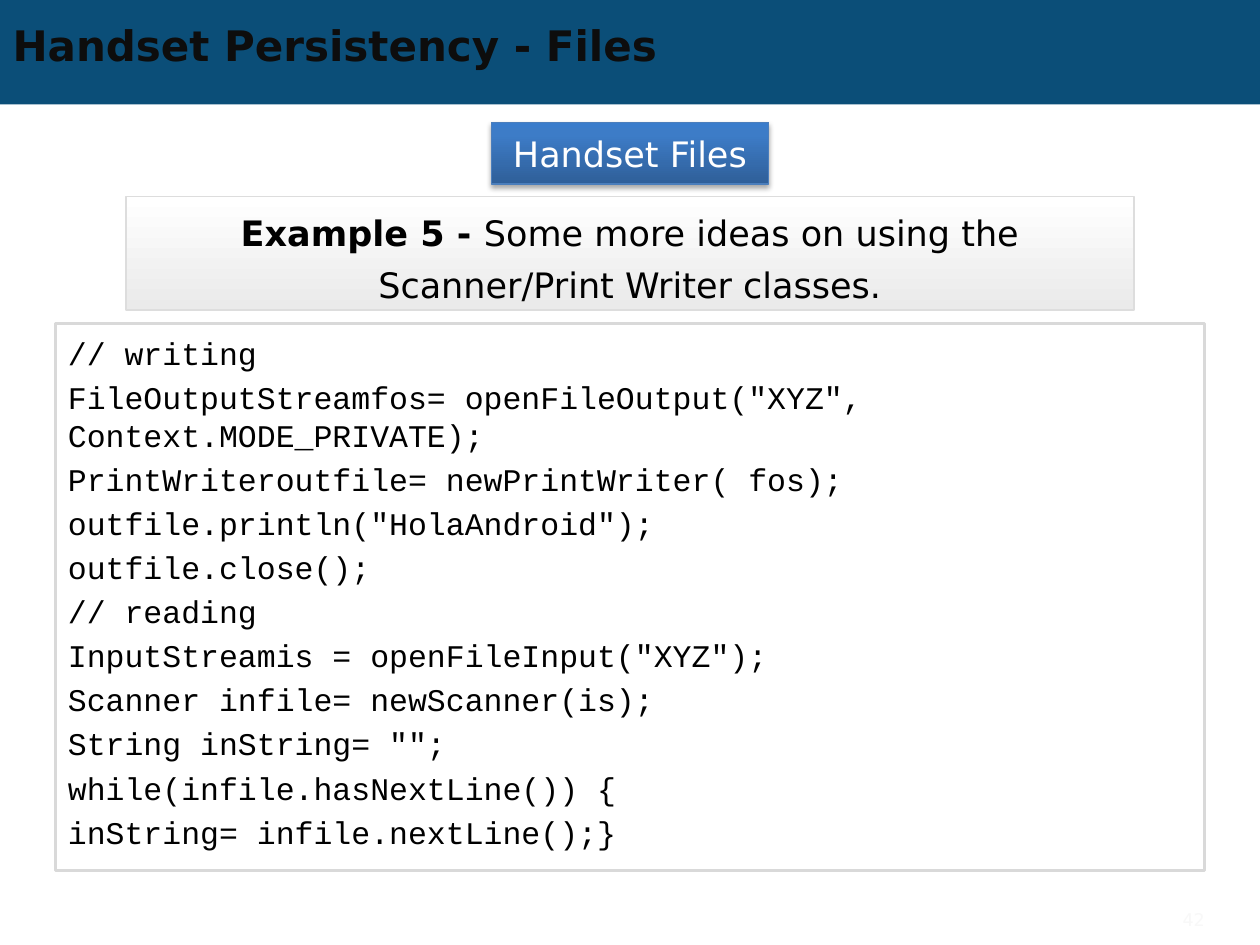
from copy import deepcopy
from typing import NamedTuple, Optional

from lxml.etree import SubElement
from pptx import Presentation
from pptx.dml.color import RGBColor
from pptx.enum.shapes import MSO_SHAPE
from pptx.enum.text import MSO_ANCHOR, PP_ALIGN
from pptx.oxml.ns import qn
from pptx.util import Inches, Pt

BAND_BLUE = RGBColor(0x0B, 0x4E, 0x78)
BUTTON_DARK = RGBColor(0x2F, 0x5F, 0x99)
BUTTON_MID = RGBColor(0x3D, 0x7C, 0xC7)
BUTTON_LIGHT = RGBColor(0x3A, 0x7C, 0xCB)
BUTTON_EDGE = RGBColor(0x4B, 0x7E, 0xBC)
PANEL_GRAY = RGBColor(0xEA, 0xEA, 0xEA)
PANEL_EDGE = RGBColor(0xDD, 0xDD, 0xDD)
CODE_EDGE = RGBColor(0xD9, 0xD9, 0xD9)
NUMBER_GRAY = RGBColor(0xF8, 0xF8, 0xF8)
TITLE_INK = RGBColor(0x0D, 0x0D, 0x0D)
BLACK = RGBColor(0, 0, 0)
WHITE = RGBColor(0xFF, 0xFF, 0xFF)

SANS = "DejaVu Sans"
MONO = "Courier New"

CODE = """// writing
FileOutputStreamfos= openFileOutput("XYZ", Context.MODE_PRIVATE);
PrintWriteroutfile= newPrintWriter( fos);
outfile.println("HolaAndroid");
outfile.close();
// reading
InputStreamis = openFileInput("XYZ");
Scanner infile= newScanner(is);
String inString= "";
while(infile.hasNextLine()) {
inString= infile.nextLine();}"""


class Stop(NamedTuple):
    position: float
    color: RGBColor


class Panel(NamedTuple):
    left: float
    top: float
    width: float
    height: float
    stops: tuple[Stop, ...] = ()
    angle: float = 0  # counter-clockwise
    edge: Optional[RGBColor] = None
    edge_width: float = 1


BAND = Panel(0, 0, 10, 0.83, (Stop(0, BAND_BLUE),))
BUTTON = Panel(3.9, 0.97, 2.2, 0.49,
               (Stop(0, BUTTON_DARK), Stop(0.8, BUTTON_MID), Stop(1, BUTTON_LIGHT)),
               90, BUTTON_EDGE, 0.75)
EXAMPLE = Panel(1, 1.56, 8, 0.9, (Stop(0, WHITE), Stop(1, PANEL_GRAY)), 270, PANEL_EDGE)
CODE_BOX = Panel(0.44, 2.57, 9.12, 4.34, edge=CODE_EDGE, edge_width=1.5)


def draw_panel(slide, panel: Panel):
    """Draw a rectangle with a plain, graded or empty fill."""
    shape = slide.shapes.add_shape(MSO_SHAPE.RECTANGLE, *map(Inches, panel[:4]))
    shape.shadow.inherit = False
    fill = shape.fill
    if not panel.stops:
        fill.background()
    elif len(panel.stops) == 1:
        fill.solid()
        fill.fore_color.rgb = panel.stops[0].color
    else:
        fill.gradient()
        fill.gradient_angle = panel.angle
        stop_list = shape._element.spPr.find(".//" + qn("a:gsLst"))
        for _ in panel.stops[2:]:
            stop_list.append(deepcopy(stop_list[-1]))
        for target, stop in zip(fill.gradient_stops, panel.stops):
            target.position = stop.position
            target.color.rgb = stop.color
    if panel.edge is None:
        shape.line.fill.background()
    else:
        shape.line.color.rgb = panel.edge
        shape.line.width = Pt(panel.edge_width)
    return shape


def add_drop_shadow(shape) -> None:
    effects = shape._element.spPr.find(qn("a:effectLst"))
    shadow = SubElement(effects, qn("a:outerShdw"), blurRad=str(Pt(3.1)),
                        dist=str(Pt(1.8)), dir="5400000", rotWithShape="0")
    black = SubElement(shadow, qn("a:srgbClr"), val="000000")
    SubElement(black, qn("a:alpha"), val="35000")


def write(shape, text: str, *, size: float, color: RGBColor = BLACK, font: str = SANS,
          bold: bool = False, lead: str = "", align=PP_ALIGN.LEFT,
          anchor=MSO_ANCHOR.MIDDLE, line_height: Optional[float] = None,
          gap: float = 0, top_inset: float = 0.05) -> None:
    """Write one paragraph per line of text, after an optional bold lead."""
    frame = shape.text_frame
    frame.word_wrap = True
    frame.vertical_anchor = anchor
    frame.margin_left = frame.margin_right = Inches(0.1)
    frame.margin_top, frame.margin_bottom = Inches(top_inset), Inches(0.05)
    for index, line in enumerate(text.split("\n")):
        paragraph = frame.add_paragraph() if index else frame.paragraphs[0]
        paragraph.alignment = align
        paragraph.space_before = Pt(gap if index else 0)
        if line_height:
            paragraph.line_spacing = Pt(line_height)
        parts = [(lead, True)] if lead and not index else []
        for words, heavy in parts + [(line, bold)]:
            run = paragraph.add_run()
            run.text = words
            run.font.name = font
            run.font.size = Pt(size)
            run.font.bold = heavy
            run.font.color.rgb = color


def main() -> None:
    deck = Presentation()
    deck.slide_width, deck.slide_height = Inches(10), Inches(7.5)
    slide = deck.slides.add_slide(deck.slide_layouts[5])

    # Title on its band, the band sent to the back
    band = draw_panel(slide, BAND)
    slide.shapes._spTree.insert(2, band._element)
    title = slide.shapes.title
    title.left, title.top, title.width, title.height = map(Inches, (0, 0.14, 9, 0.43))
    write(title, "Handset Persistency - Files", size=24, color=TITLE_INK, bold=True)

    # Topic and example
    topic = draw_panel(slide, BUTTON)
    add_drop_shadow(topic)
    write(topic, "Handset Files", size=20, color=WHITE, align=PP_ALIGN.CENTER)
    example = draw_panel(slide, EXAMPLE)
    write(example, "Some more ideas on using the Scanner/Print Writer classes.",
          lead="Example 5 - ", size=20, align=PP_ALIGN.CENTER, line_height=30)

    # Code listing
    listing = draw_panel(slide, CODE_BOX)
    write(listing, CODE, size=18, font=MONO, anchor=MSO_ANCHOR.TOP,
          line_height=21.6, gap=3.6, top_inset=0.08)

    # Page number
    page_number = slide.shapes.add_textbox(*map(Inches, (8.66, 7.15, 1, 0.3)))
    write(page_number, "42", size=10, color=NUMBER_GRAY, align=PP_ALIGN.RIGHT)

    deck.save("out.pptx")


if __name__ == "__main__":
    main()
